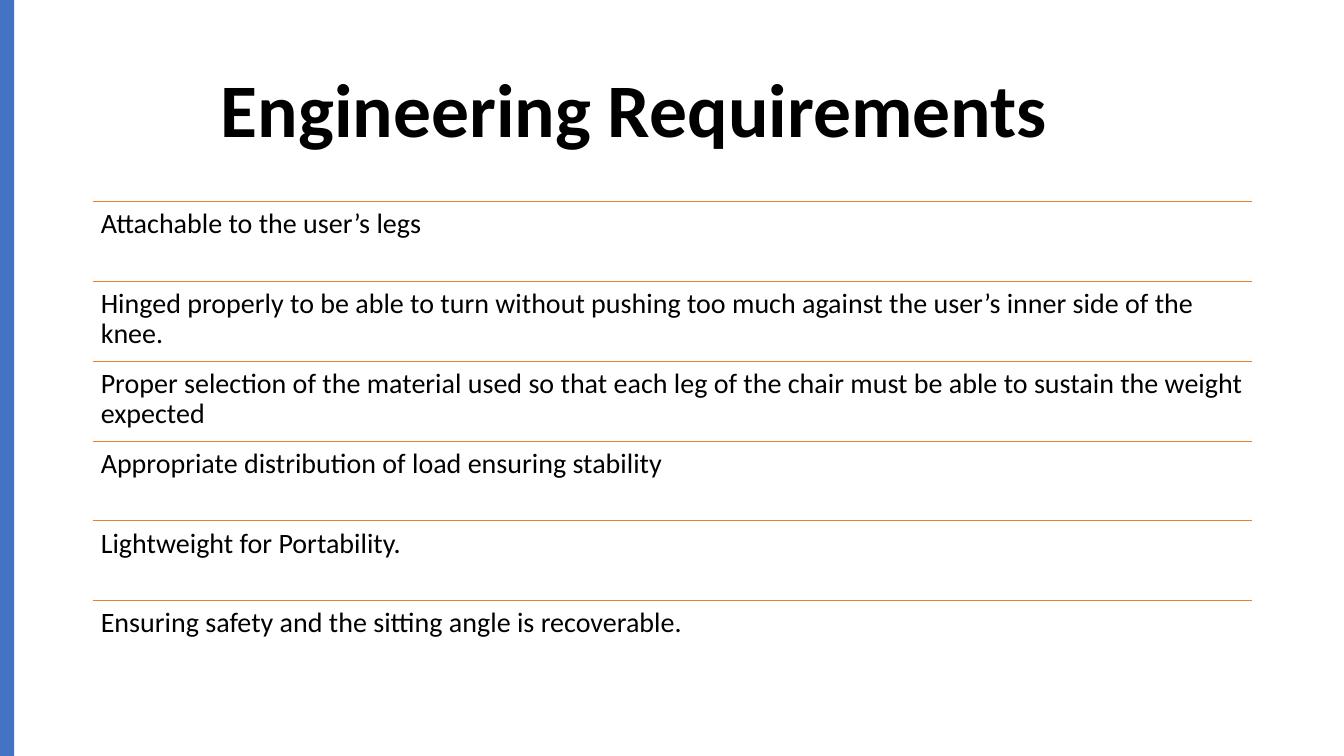
from dataclasses import dataclass

from lxml import etree
from pptx import Presentation
from pptx import util as u
from pptx.dml.color import RGBColor
from pptx.enum import shapes, text
from pptx.oxml.ns import qn

# Content
TITLE = "Engineering Requirements"
REQUIREMENTS = [
    "Attachable to the user’s legs",
    "Hinged properly to be able to turn without pushing too much against "
    "the user’s inner side of the knee.",
    "Proper selection of the material used so that each leg of the chair "
    "must be able to sustain the weight expected",
    "Appropriate distribution of load ensuring stability",
    "Lightweight for Portability.",
    "Ensuring safety and the sitting angle is recoverable.",
]


@dataclass(frozen=True)
class Theme:
    font: str = "Calibri"
    title_size: float = 54
    body_size: float = 20
    rule_width: float = 0.5
    ink: RGBColor = RGBColor(0x00, 0x00, 0x00)
    bar: RGBColor = RGBColor(0x44, 0x72, 0xC4)
    rule: RGBColor = RGBColor(0xED, 0x7D, 0x31)


THEME = Theme()

# Layout, in inches
SLIDE_W, SLIDE_H = 13.33, 7.5
BAR_W = 0.14
LEFT, WIDTH = 0.92, 11.5
TOP, BOTTOM = 2.0, 6.75
ROW_H = (BOTTOM - TOP) / len(REQUIREMENTS)


def write(sp, words, *, size, bold=False, inset=None,
          anchor=text.MSO_ANCHOR.TOP, after=0):
    tf = sp.text_frame
    tf.word_wrap = True
    tf.auto_size = text.MSO_AUTO_SIZE.NONE
    tf.vertical_anchor = anchor
    if inset is not None:
        tf.margin_left = tf.margin_right = u.Inches(inset)
        tf.margin_top = tf.margin_bottom = u.Inches(inset)
    p = tf.paragraphs[0]
    p.alignment = text.PP_ALIGN.LEFT
    p.line_spacing = 0.9
    p.space_after = u.Pt(after)
    r = p.add_run()
    r.text = words
    r.font.name = THEME.font
    r.font.size = u.Pt(size)
    r.font.bold = bold
    r.font.color.rgb = THEME.ink


def add_rule(s, y):
    line = s.shapes.add_connector(
        shapes.MSO_CONNECTOR.STRAIGHT, u.Inches(LEFT), u.Inches(y),
        u.Inches(LEFT + WIDTH), u.Inches(y))
    line.line.color.rgb = THEME.rule
    line.line.width = u.Pt(THEME.rule_width)
    etree.SubElement(line._element.spPr, qn("a:effectLst"))


def main():
    prs = Presentation()
    prs.slide_width, prs.slide_height = u.Inches(SLIDE_W), u.Inches(SLIDE_H)
    s = prs.slides.add_slide(prs.slide_layouts[5])

    # Title
    title = s.shapes.title
    title.left, title.top = u.Inches(2.09), u.Inches(0.4)
    title.width, title.height = u.Inches(10.32), u.Inches(1.45)
    write(title, TITLE, size=THEME.title_size, bold=True,
          anchor=text.MSO_ANCHOR.MIDDLE)

    # Accent bar on the left edge
    bar = s.shapes.add_shape(shapes.MSO_SHAPE.RECTANGLE, 0, 0,
                             u.Inches(BAR_W), u.Inches(SLIDE_H))
    bar.shadow.inherit = False
    bar.fill.solid()
    bar.fill.fore_color.rgb = THEME.bar
    bar.line.fill.background()

    # Requirements, each under its own rule
    for i, requirement in enumerate(REQUIREMENTS):
        y = TOP + i * ROW_H
        add_rule(s, y)
        box = s.shapes.add_textbox(u.Inches(LEFT), u.Inches(y),
                                   u.Inches(WIDTH), u.Inches(ROW_H))
        write(box, requirement, size=THEME.body_size, inset=0.08,
              after=0.35 * THEME.body_size)

    prs.save("out.pptx")


if __name__ == "__main__":
    main()
